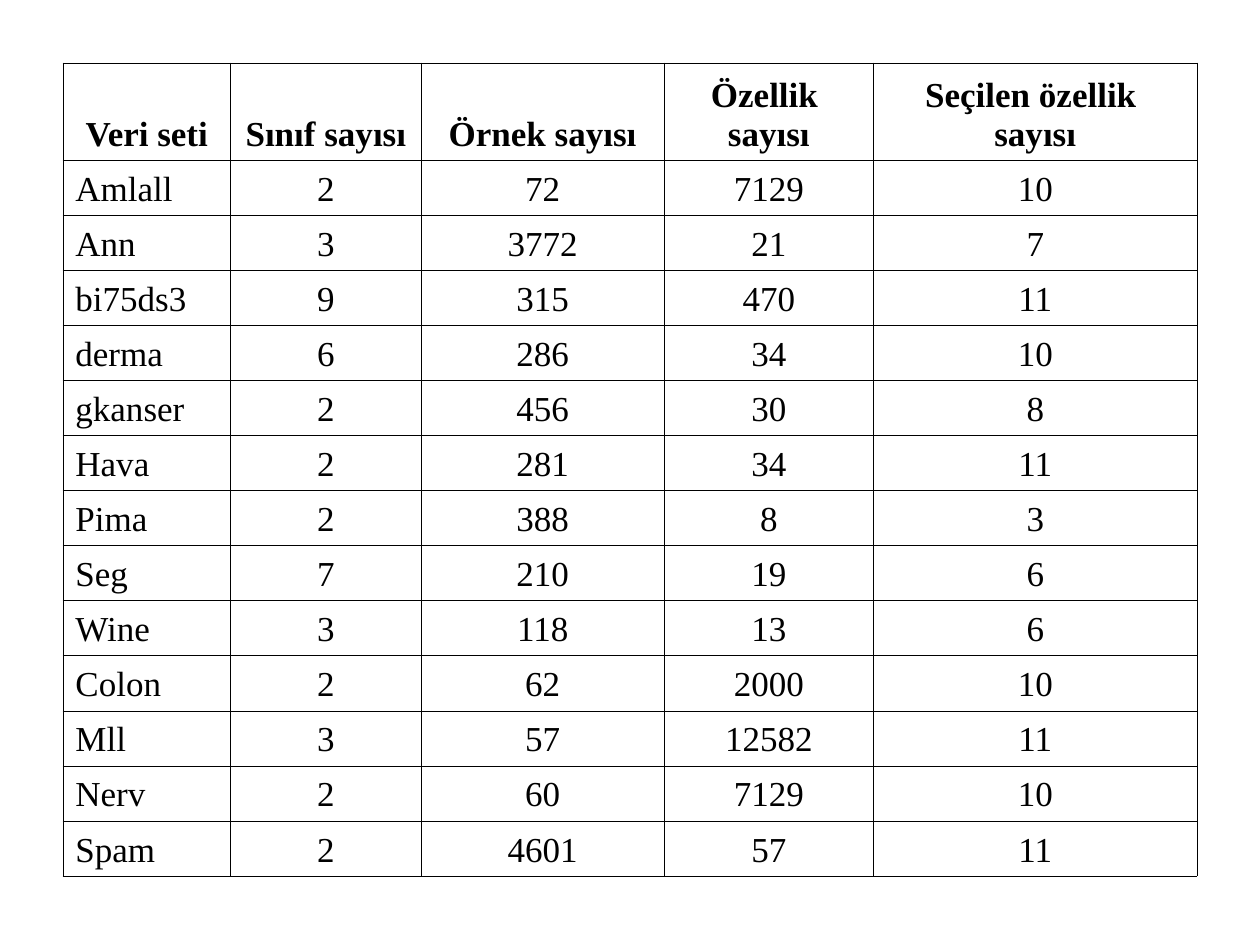
from dataclasses import dataclass

from lxml import etree
from pptx import Presentation
from pptx.dml.color import RGBColor
from pptx.enum.text import MSO_ANCHOR, PP_ALIGN
from pptx.oxml.ns import qn
from pptx.util import Cm, Pt

BOTTOM = MSO_ANCHOR.BOTTOM
CENTER = PP_ALIGN.CENTER
LEFT = PP_ALIGN.LEFT


@dataclass(frozen=True)
class Theme:
    ink: str = "000000"
    font: str = "Times New Roman"
    text_size: float = 20
    border_width: float = 0.45


THEME = Theme()

HEADINGS = ["Veri seti", "Sınıf sayısı", "Örnek sayısı", "Özellik \nsayısı", "Seçilen özellik \nsayısı"]
DATASETS = [
    ("Amlall", 2, 72, 7129, 10),
    ("Ann", 3, 3772, 21, 7),
    ("bi75ds3", 9, 315, 470, 11),
    ("derma", 6, 286, 34, 10),
    ("gkanser", 2, 456, 30, 8),
    ("Hava", 2, 281, 34, 11),
    ("Pima", 2, 388, 8, 3),
    ("Seg", 7, 210, 19, 6),
    ("Wine", 3, 118, 13, 6),
    ("Colon", 2, 62, 2000, 10),
    ("Mll", 3, 57, 12582, 11),
    ("Nerv", 2, 60, 7129, 10),
    ("Spam", 2, 4601, 57, 11),
]
COLUMN_WIDTHS = [3.38, 3.84, 4.9, 4.22, 6.52]
ROW_HEIGHTS = [1.96] + [1.11] * len(DATASETS)


def add_borders(cell):
    properties = cell._tc.get_or_add_tcPr()
    for position, side in enumerate(("lnL", "lnR", "lnT", "lnB")):
        line = etree.Element(qn(f"a:{side}"), w=str(Pt(THEME.border_width)))
        fill = etree.SubElement(line, qn("a:solidFill"))
        etree.SubElement(fill, qn("a:srgbClr"), val=THEME.ink)
        properties.insert(position, line)


presentation = Presentation()
presentation.slide_width = Cm(25.4)
presentation.slide_height = Cm(19.05)
slide = presentation.slides.add_slide(presentation.slide_layouts[6])

rows = [HEADINGS, *DATASETS]
datasets = slide.shapes.add_table(
    len(rows), len(HEADINGS), Cm(1.27), Cm(1.27),
    Cm(sum(COLUMN_WIDTHS)), Cm(sum(ROW_HEIGHTS)),
).table
datasets.first_row = False
datasets.horz_banding = False

for column, width in zip(datasets.columns, COLUMN_WIDTHS):
    column.width = Cm(width)

for row_index, (values, height) in enumerate(zip(rows, ROW_HEIGHTS)):
    datasets.rows[row_index].height = Cm(height)
    is_heading = row_index == 0
    for column_index, value in enumerate(values):
        cell = datasets.cell(row_index, column_index)
        cell.vertical_anchor = BOTTOM
        cell.margin_left = cell.margin_right = Cm(0.25)
        cell.margin_top = cell.margin_bottom = Cm(0.13)
        cell.fill.background()
        add_borders(cell)
        cell.text_frame.text = str(value)
        for paragraph in cell.text_frame.paragraphs:
            paragraph.alignment = CENTER if is_heading or column_index else LEFT
            for run in paragraph.runs:
                run.font.name = THEME.font
                run.font.size = Pt(THEME.text_size)
                run.font.bold = is_heading
                run.font.color.rgb = RGBColor.from_string(THEME.ink)

presentation.save("out.pptx")
